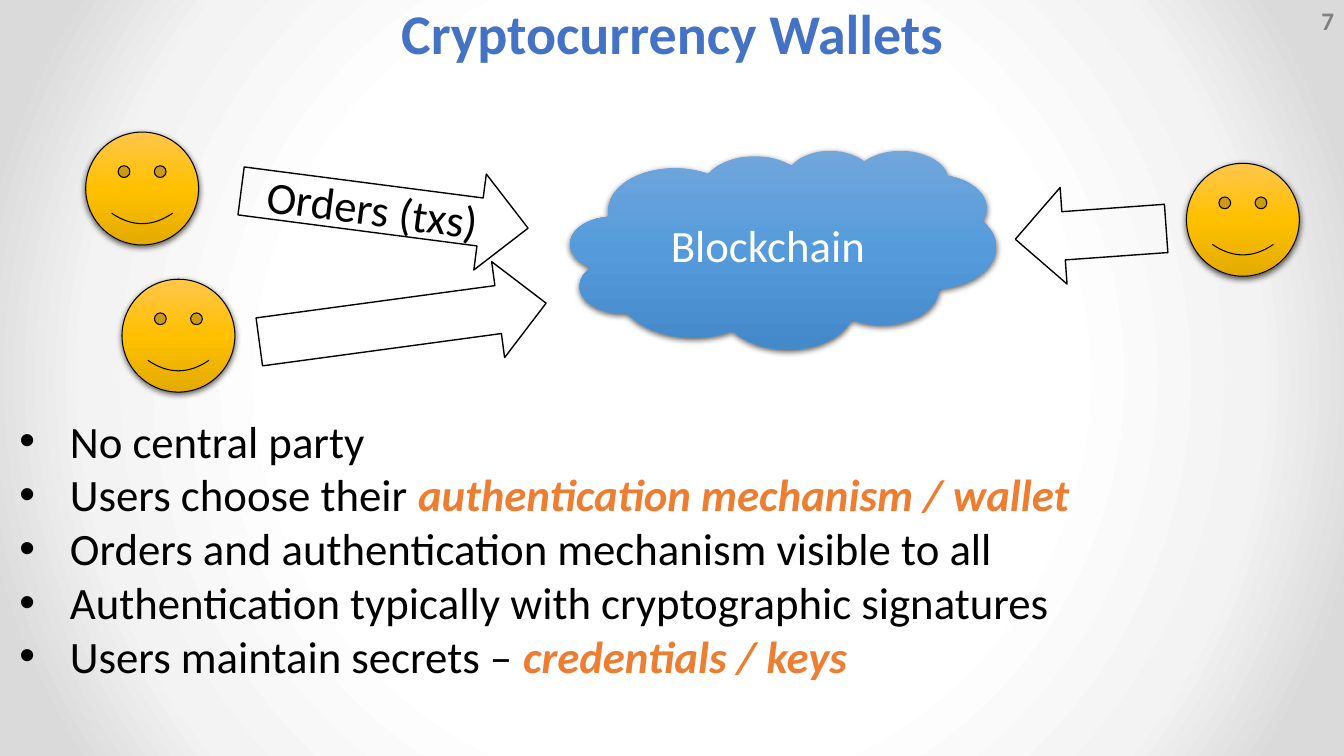
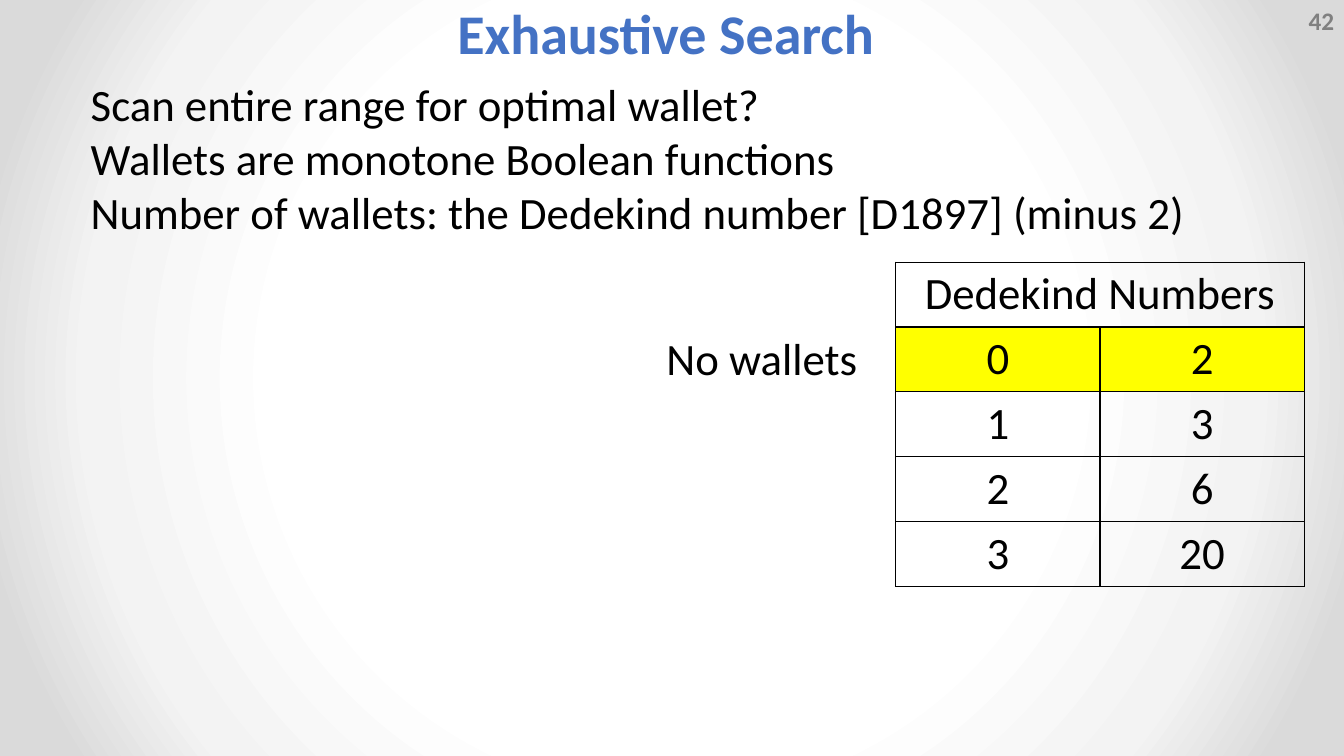
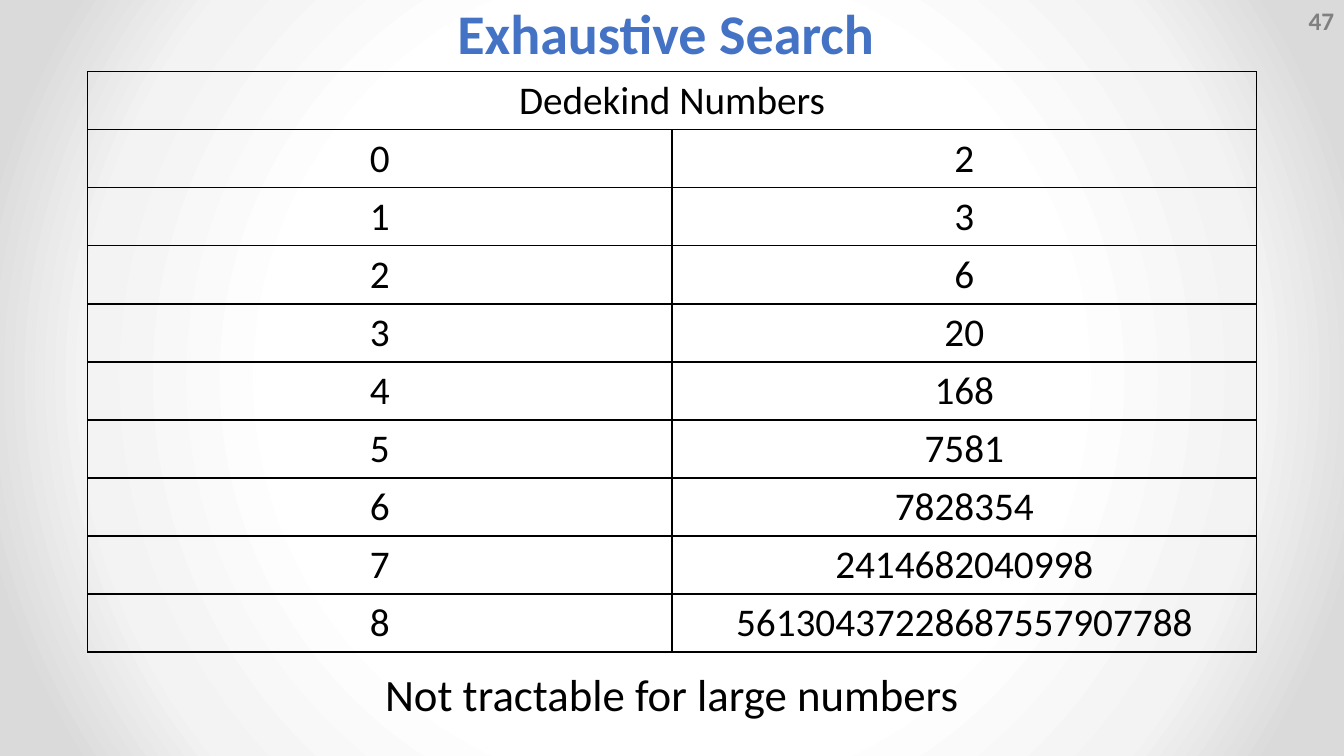
from lxml import etree
from pptx import Presentation
from pptx.dml.color import RGBColor
from pptx.enum.shapes import MSO_SHAPE
from pptx.enum.text import MSO_ANCHOR, MSO_AUTO_SIZE, PP_ALIGN
from pptx.oxml.ns import qn
from pptx.util import Inches, Pt

LEFT, CENTER, RIGHT = PP_ALIGN.LEFT, PP_ALIGN.CENTER, PP_ALIGN.RIGHT
TOP, MIDDLE = MSO_ANCHOR.TOP, MSO_ANCHOR.MIDDLE
NO_FIT = MSO_AUTO_SIZE.NONE
CLOUD, SMILEY, ARROW = MSO_SHAPE.CLOUD, MSO_SHAPE.SMILEY_FACE, MSO_SHAPE.RIGHT_ARROW

FONT = "Calibri"
SLIDE = (0, 0, 13.33, 7.5)
COLORS = {
    "text": "000000", "title": "4472C4", "accent": "ED7D31",
    "number": "808080", "white": "FFFFFF", "highlight": "FFFF00",
}
BACKDROP = [(50, "FFFFFF"), (76, "F3F3F3"), (92, "DADADA")]
BLUE = [(0, "71A6DB"), (50, "559BDB"), (100, "448ACA")]
GOLD = [(0, "FFC64B"), (50, "FFC000"), (100, "E3AB00")]
DEDEKIND = ["2", "3", "6", "20", "168", "7581", "7828354",
            "2414682040998", "56130437228687557907788"]


def share(box, x, y, w, h):
    left, top, width, height = box
    return (left + width * x / 100, top + height * y / 100,
            width * w / 100, height * h / 100)


def emu(box):
    return [Inches(v) for v in box]


def rgb(name):
    return RGBColor.from_string(COLORS[name])


def add_xml(parent, tag, **attrs):
    return etree.SubElement(parent, qn(tag), {k: str(v) for k, v in attrs.items()})


def add_color(parent, color, alpha=None):
    clr = add_xml(parent, "a:srgbClr", val=color)
    if alpha:
        add_xml(clr, "a:alpha", val=alpha * 1000)


def set_gradient(fill, owner, stops, radial=False):
    fill.gradient()
    grad = owner.find(".//" + qn("a:gradFill"))
    for child in list(grad):
        grad.remove(child)
    stop_list = add_xml(grad, "a:gsLst")
    for pos, color in stops:
        add_color(add_xml(stop_list, "a:gs", pos=pos * 1000), color)
    if radial:
        focus = add_xml(grad, "a:path", path="circle")
        add_xml(focus, "a:fillToRect", l=50000, t=50000, r=50000, b=50000)
    else:
        add_xml(grad, "a:lin", ang=5400000, scaled=0)


def style(p, size, color="text", bold=False, align=LEFT):
    p.alignment = align
    f = p.font
    f.name, f.size, f.bold = FONT, Pt(size), bold
    f.color.rgb = rgb(color)


def write(tf, text, size, color="text", bold=False, align=LEFT, anchor=TOP):
    tf.auto_size = NO_FIT
    tf.vertical_anchor = anchor
    p = tf.paragraphs[0]
    p.text = text
    style(p, size, color, bold, align)
    return p


def add_text(s, box, text, size, wrap=True, **look):
    tf = s.shapes.add_textbox(*emu(box)).text_frame
    tf.word_wrap = wrap
    write(tf, text, size, **look)


def place(shape, box):
    shape.left, shape.top, shape.width, shape.height = emu(box)


def add_slide(prs, layout, title, number):
    s = prs.slides.add_slide(prs.slide_layouts.get_by_name(layout))
    place(s.shapes.title, share(SLIDE, 0, 0, 100, 9.5))
    p = write(s.shapes.title.text_frame, title, 40, "title", True, CENTER, MIDDLE)
    p.line_spacing = 0.9
    add_text(s, share(SLIDE, 96.25, 0, 3.75, 5.33), number, 18,
             color="number", bold=True, align=RIGHT, anchor=MIDDLE)
    return s


def fill_body(s, box, lines, bullet=None):
    body = s.placeholders[1]
    place(body, box)
    tf = body.text_frame
    tf.auto_size = NO_FIT
    for i, (plain, strong) in enumerate(lines):
        p = tf.paragraphs[0] if i == 0 else tf.add_paragraph()
        pPr = p._p.get_or_add_pPr()
        indent = Inches(0.5) if bullet else 0
        pPr.set("marL", str(indent))
        pPr.set("indent", str(-indent))
        if bullet:
            add_xml(pPr, "a:buFont", typeface="Arial")
            add_xml(pPr, "a:buChar", char=bullet)
        else:
            add_xml(pPr, "a:buNone")
        p.space_before = Pt(0)
        style(p, 32)
        p.add_run().text = plain
        if strong:
            r = p.add_run()
            r.text = strong
            r.font.bold = r.font.italic = True
            r.font.color.rgb = rgb("accent")


def add_shape(s, kind, box, stops=None, line=None):
    sp = s.shapes.add_shape(kind, *emu(box))
    sp.shadow.inherit = False
    if stops:
        set_gradient(sp.fill, sp.element, stops)
        effects = sp.element.spPr.find(qn("a:effectLst"))
        shadow = add_xml(effects, "a:outerShdw", blurRad=Pt(4.5), dist=Pt(1.5),
                         dir=5400000, algn="ctr", rotWithShape=0)
        add_color(shadow, COLORS["text"], 63)
    else:
        sp.fill.background()
    if line:
        sp.line.color.rgb = rgb("text")
        sp.line.width = Pt(line)
    else:
        sp.line.fill.background()
    return sp


def add_diagram(s, box):
    cloud = add_shape(s, CLOUD, share(box, 42.45, 9.67, 31.65, 65.67), BLUE)
    write(cloud.text_frame, "Blockchain", 32, "white", align=CENTER, anchor=MIDDLE)
    for x, y in [(6.38, 3.67), (9.08, 52.33), (88.28, 14)]:
        add_shape(s, SMILEY, share(box, x, y, 8.4, 37.33), GOLD, 0.75)
    arrows = [(17.85, 13.33, 21.53, 7.4, "Orders (txs)"),
              (19.2, 50.67, 21.53, 352.3, None),
              (75.53, 21.33, 11.25, 175.9, None)]
    for x, y, w, angle, label in arrows:
        arrow = add_shape(s, ARROW, share(box, x, y, w, 32), line=1)
        arrow.rotation = angle
        if label:
            write(arrow.text_frame, label, 32, align=CENTER, anchor=MIDDLE)


def add_borders(cell):
    tcPr = cell._tc.get_or_add_tcPr()
    for side in ("a:lnL", "a:lnR", "a:lnT", "a:lnB"):
        ln = add_xml(tcPr, side, w=Pt(1))
        add_color(add_xml(ln, "a:solidFill"), COLORS["text"])


def add_dedekind_table(s, box, values, size, marked=None):
    rows = [("Dedekind Numbers", "")] + [(str(n), v) for n, v in enumerate(values)]
    table = s.shapes.add_table(len(rows), 2, *emu(box)).table
    table.first_row = table.horz_banding = False
    table.cell(0, 0).merge(table.cell(0, 1))
    for i, row in enumerate(rows):
        for j, text in enumerate(row):
            cell = table.cell(i, j)
            add_borders(cell)
            if i == marked:
                cell.fill.solid()
                cell.fill.fore_color.rgb = rgb("highlight")
            else:
                cell.fill.background()
            p = cell.text_frame.paragraphs[0]
            p.text = text
            style(p, size, align=CENTER)


def wallets_slide(prs):
    s = add_slide(prs, "Title and Content", "Cryptocurrency Wallets", "7")
    add_diagram(s, share(SLIDE, 0, 16, 100, 40))
    fill_body(s, share(SLIDE, 0.7, 54, 83.1, 37.2), [
        ("No central party", None),
        ("Users choose their ", "authentication mechanism / wallet"),
        ("Orders and authentication mechanism visible to all", None),
        ("Authentication typically with cryptographic signatures", None),
        ("Users maintain secrets – ", "credentials / keys"),
    ], "•")


def search_slide(prs):
    s = add_slide(prs, "Title and Content", "Exhaustive Search ", "42")
    fill_body(s, share(SLIDE, 6, 9.5, 88, 23), [
        ("Scan entire range for optimal wallet?", None),
        ("Wallets are monotone Boolean functions", None),
        ("Number of wallets: the Dedekind number [D1897] (minus 2)", None),
    ])
    add_text(s, share(SLIDE, 48.85, 43.07, 15.8, 8.5), "No wallets", 32, wrap=False)
    add_dedekind_table(s, share(SLIDE, 66.65, 34.67, 30.4, 42.3), DEDEKIND[:4], 32, marked=1)


def growth_slide(prs):
    s = add_slide(prs, "Title Only", "Exhaustive Search ", "47")
    add_dedekind_table(s, share(SLIDE, 6.5, 9.5, 87, 75.6), DEDEKIND, 28)
    add_text(s, share(SLIDE, 27.7, 87.5, 44.6, 8.5),
             "Not tractable for large numbers", 32, wrap=False, align=CENTER)


def main():
    prs = Presentation()
    prs.slide_width, prs.slide_height = emu(SLIDE[2:])
    master = prs.slide_master
    set_gradient(master.background.fill, master.element, BACKDROP, radial=True)
    wallets_slide(prs)
    search_slide(prs)
    growth_slide(prs)
    prs.save("out.pptx")


if __name__ == "__main__":
    main()
